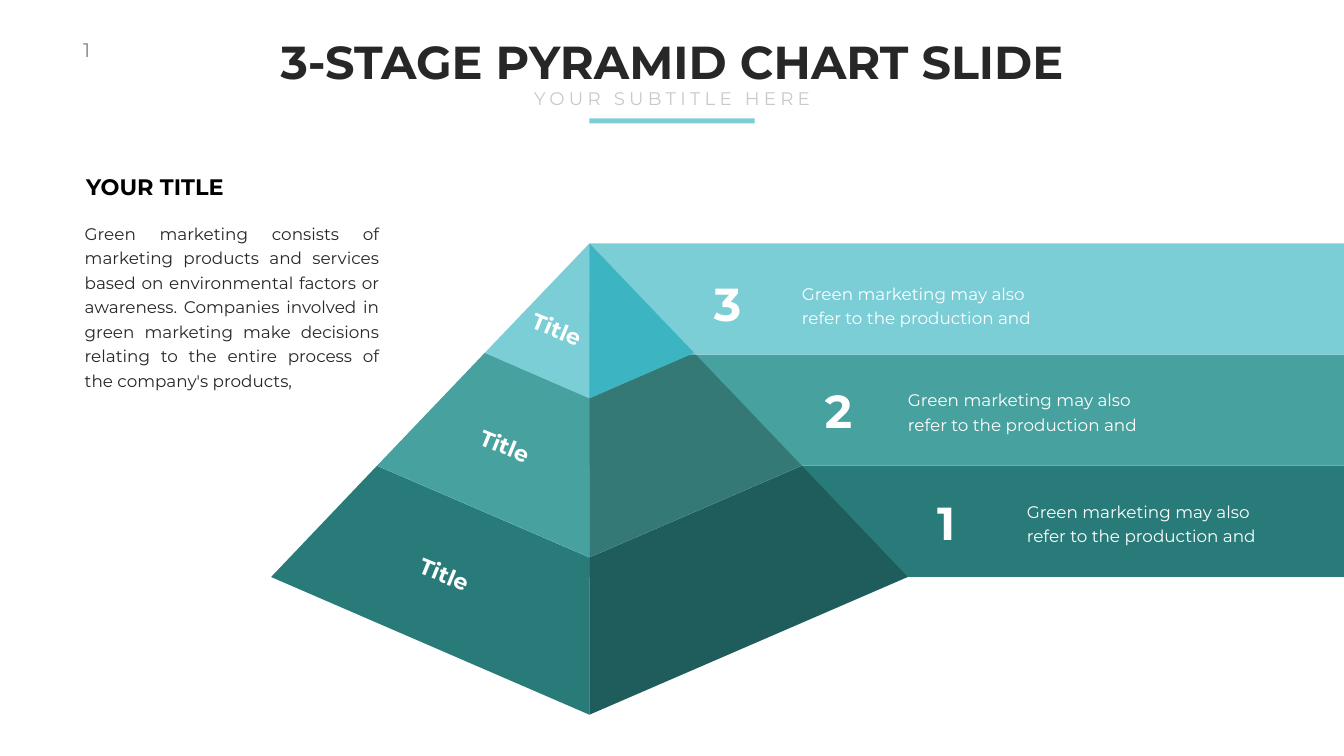
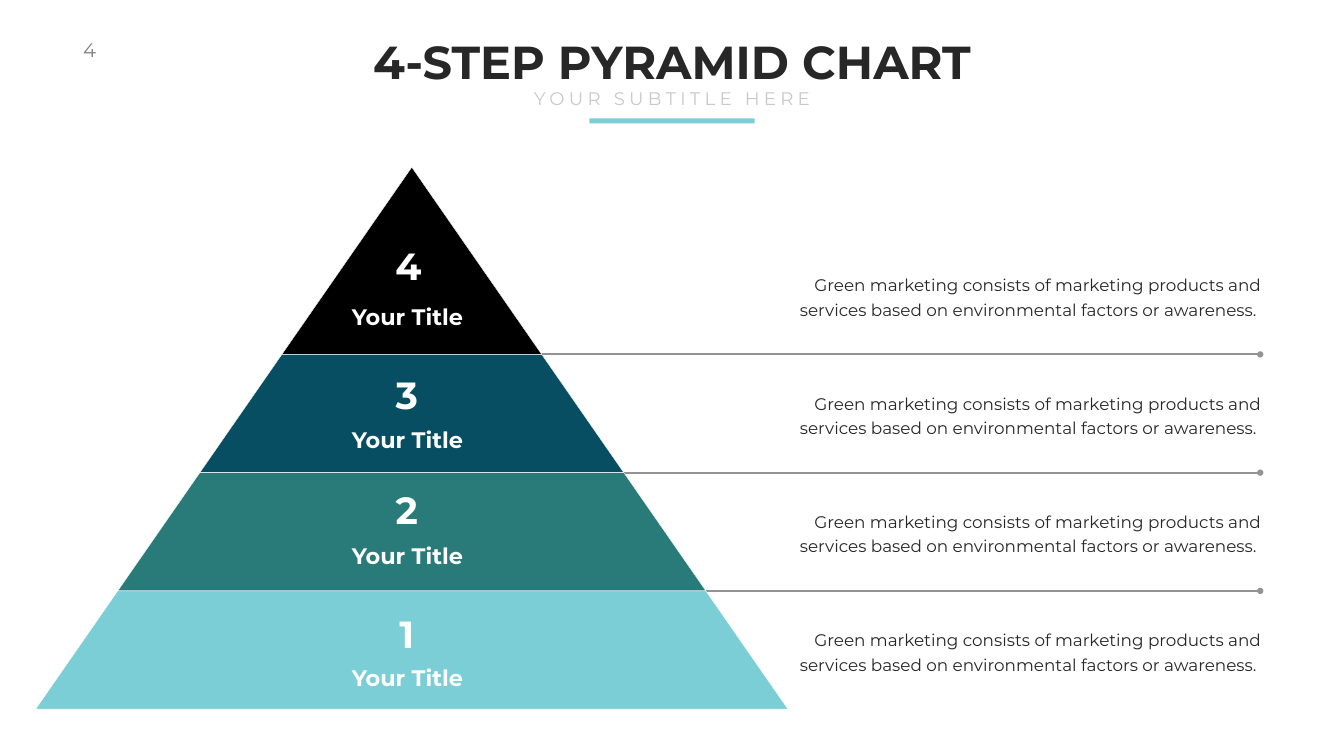
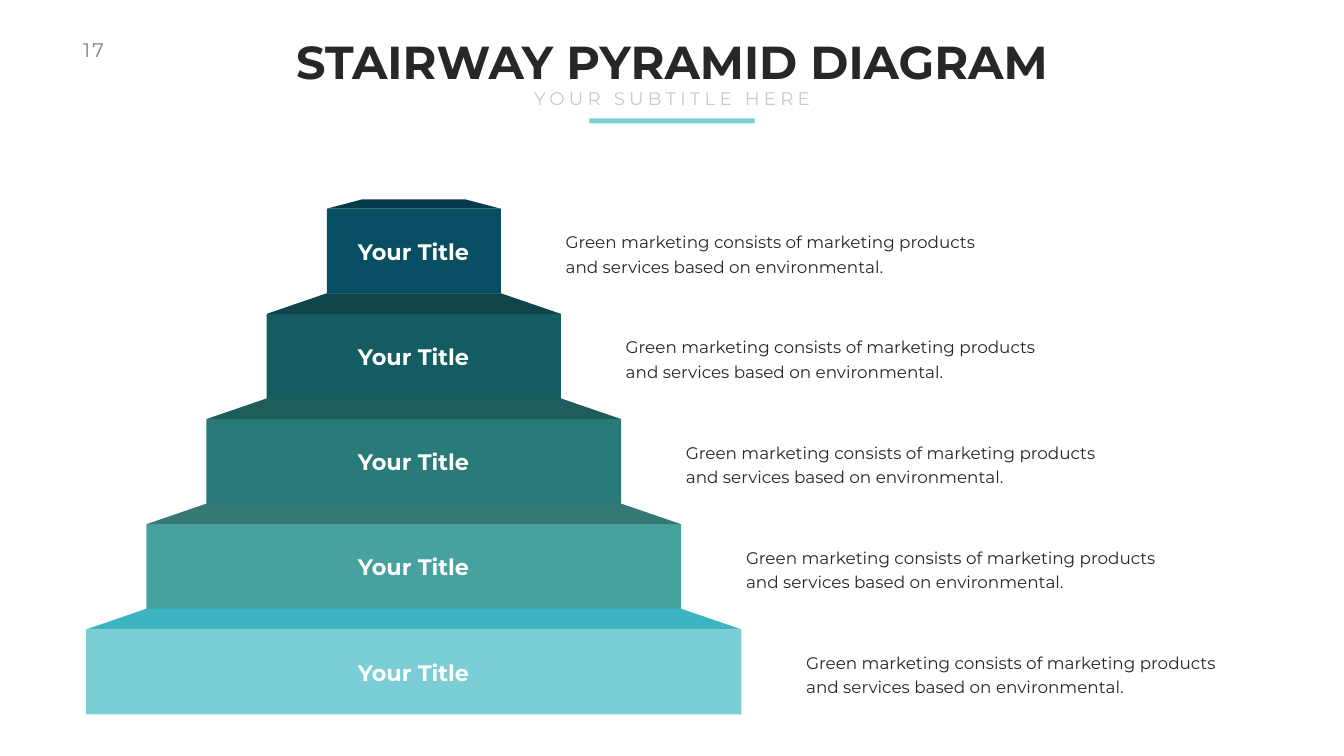
from dataclasses import dataclass, replace
from typing import Optional

import pptx
import pptx.dml.color
import pptx.enum.shapes
import pptx.enum.text
import pptx.oxml
import pptx.oxml.ns
import pptx.util
from pptx.util import Cm

ALIGN = pptx.enum.text.PP_ALIGN
ANCHOR = pptx.enum.text.MSO_ANCHOR
SHAPES = pptx.enum.shapes.MSO_SHAPE
FONT = "Montserrat"
TITLE_ONLY = 5
SLIDE_WIDTH, SLIDE_HEIGHT = 67.72, 38.1

COLORS = {
    "white": "FFFFFF", "black": "000000", "ink": "272727",
    "page": "808080", "subtitle": "C9C9C9", "rule": "939393",
    "aqua": "7BCDD6", "aqua_dark": "3CB4C1", "aqua_lid": "63CBCA",
    "teal": "47A19F", "teal_dark": "357977", "teal_lid": "B0E1E6",
    "pine": "297B7A", "pine_dark": "1F5C5C",
    "deep": "135C62", "deep_dark": "0E454A",
    "navy": "074E63", "navy_dark": "053A4A",
}


# Shared styles; all lengths are centimetres
@dataclass(frozen=True)
class TextStyle:
    size: int
    color: str = "white"
    bold: bool = False
    align: ALIGN = ALIGN.LEFT
    anchor: ANCHOR = ANCHOR.TOP
    wrap: bool = False
    leading: Optional[int] = None
    tracking: int = 0


@dataclass(frozen=True)
class Box:
    left: float
    top: float
    width: float
    height: float
    rotation: float = 0


TITLE = TextStyle(66, "ink", bold=True, align=ALIGN.CENTER)
SUBTITLE = TextStyle(26, "subtitle", align=ALIGN.CENTER, tracking=6)
PAGE = TextStyle(28, "page", tracking=3)
BODY = TextStyle(24, "ink", wrap=True, leading=35)
LABEL = TextStyle(32, bold=True, align=ALIGN.CENTER, anchor=ANCHOR.MIDDLE)
SIDE_LABEL = replace(LABEL, align=ALIGN.LEFT)
NUMBER = replace(LABEL, size=54)
BIG_NUMBER = replace(LABEL, size=66)


def rgb(name: str) -> pptx.dml.color.RGBColor:
    return pptx.dml.color.RGBColor.from_string(COLORS[name])


def place(shape, box: Box) -> None:
    shape.left, shape.top = Cm(box.left), Cm(box.top)
    shape.width, shape.height = Cm(box.width), Cm(box.height)
    shape.rotation = box.rotation


def write(shape, text: str, style: TextStyle) -> None:
    frame = shape.text_frame
    frame.word_wrap = style.wrap
    frame.auto_size = pptx.enum.text.MSO_AUTO_SIZE.SHAPE_TO_FIT_TEXT
    frame.vertical_anchor = style.anchor
    if style.wrap:
        frame.margin_left = frame.margin_right = Cm(0.61)
        frame.margin_top = frame.margin_bottom = Cm(0.3)
    paragraph = frame.paragraphs[0]
    paragraph.alignment = style.align
    if style.leading:
        paragraph.line_spacing = pptx.util.Pt(style.leading)
    run = paragraph.add_run()
    run.text = text
    if style.tracking:
        run._r.get_or_add_rPr().set("spc", str(style.tracking * 100))
    font = paragraph.font
    font.name, font.size, font.bold = FONT, pptx.util.Pt(style.size), style.bold
    font.color.rgb = rgb(style.color)


def add_text(slide, box: Box, text: str, style: TextStyle) -> None:
    shape = slide.shapes.add_textbox(0, 0, 0, 0)
    write(shape, text, style)
    place(shape, box)


def paint(shape, color: str, outline: Optional[str] = None) -> None:
    shape.shadow.inherit = False
    shape.fill.solid()
    shape.fill.fore_color.rgb = rgb(color)
    if outline:
        shape.line.color.rgb = rgb(outline)
        shape.line.width = pptx.util.Pt(0.5)
    else:
        shape.line.fill.background()


def add_rectangle(slide, box: Box, color: str) -> None:
    shape = slide.shapes.add_shape(SHAPES.RECTANGLE, 0, 0, 0, 0)
    place(shape, box)
    paint(shape, color)


def add_polygon(slide, points: list[tuple[float, float]], color: str,
                outline: Optional[str] = None) -> None:
    start, *others = [(Cm(x), Cm(y)) for x, y in points]
    builder = slide.shapes.build_freeform(*start, scale=1.0)
    builder.add_line_segments(others, close=True)
    paint(builder.convert_to_shape(), color, outline)


def add_trapezoid(slide, axis: float, top: float, bottom: float, top_half: float,
                  bottom_half: float, color: str, outline: Optional[str] = None) -> None:
    points = [(axis - bottom_half, bottom), (axis - top_half, top),
              (axis + top_half, top), (axis + bottom_half, bottom)]
    add_polygon(slide, points, color, outline)


def add_dotted_rule(slide, left: float, right: float, y: float) -> None:
    line = slide.shapes.add_connector(
        pptx.enum.shapes.MSO_CONNECTOR.STRAIGHT, Cm(left), Cm(y), Cm(right), Cm(y))
    line.line.color.rgb = rgb("rule")
    line.line.width = pptx.util.Pt(3)
    tail = pptx.oxml.parse_xml(
        f'<a:tailEnd {pptx.oxml.ns.nsdecls("a")} type="oval"/>')
    line.line._get_or_add_ln().append(tail)
    effects = pptx.oxml.parse_xml(f'<a:effectLst {pptx.oxml.ns.nsdecls("a")}/>')
    line._element.spPr.append(effects)


def add_page(presentation, number: int, title: str, title_width: float):
    """Add a slide with its title, subtitle, accent bar and page number."""
    slide = presentation.slides.add_slide(presentation.slide_layouts[TITLE_ONLY])
    write(slide.shapes.title, title, TITLE)
    left = (SLIDE_WIDTH - title_width) / 2
    place(slide.shapes.title, Box(left, 1.55, title_width, 3.07))
    add_text(slide, Box(3.94, 1.8, 2.13, 1.45), str(number), PAGE)
    add_rectangle(slide, Box(29.7, 5.97, 8.33, 0.25), "aqua")
    add_text(slide, Box(26.44, 4.29, 14.86, 1.37), "YOUR SUBTITLE HERE", SUBTITLE)
    return slide


# Slide 1: folded pyramid with bands running to the right edge
@dataclass(frozen=True)
class Edge:
    half: float
    side_y: float
    front_y: float


@dataclass(frozen=True)
class Stage:
    number: int
    light: str
    dark: str
    upper: Edge
    lower: Edge
    band_top: float
    number_center: float
    text_left: float
    text_top: float
    label: Box
    lid_color: str = ""
    lid_back: float = 0


def draw_stage(slide, stage: Stage, axis: float) -> None:
    upper, lower = stage.upper, stage.lower
    if stage.lid_color:
        add_polygon(slide, [(axis - lower.half, lower.side_y), (axis, stage.lid_back),
                            (axis + lower.half, lower.side_y), (axis, lower.front_y)],
                    stage.lid_color)
    add_rectangle(slide, Box(axis, stage.band_top, SLIDE_WIDTH - axis, 5.6), stage.light)
    for side, color in ((-1, stage.light), (1, stage.dark)):
        add_polygon(slide, [(axis + side * lower.half, lower.side_y),
                            (axis, lower.front_y), (axis, upper.front_y),
                            (axis + side * upper.half, upper.side_y)], color)
    add_text(slide, Box(stage.number_center - 0.95, stage.text_top, 1.9, 3.07),
             str(stage.number), BIG_NUMBER)
    add_text(slide, Box(stage.text_left, stage.text_top, 13.82, 3),
             "Green marketing may also refer to the production and",
             replace(BODY, color="white"))
    add_text(slide, stage.label, "Title", SIDE_LABEL)


def build_stage_pyramid(presentation) -> None:
    slide = add_page(presentation, 1, "3-STAGE PYRAMID CHART SLIDE", 40.31)
    tip, first = Edge(0, 12.27, 12.27), Edge(5.27, 17.78, 20.07)
    second, base = Edge(10.7, 23.47, 28.09), Edge(16.04, 29.08, 36.02)
    stages = [
        Stage(1, "pine", "pine_dark", second, base, 23.47, 47.68, 51.13, 24.76,
              Box(20.85, 28.12, 3.12, 1.63, 22.2)),
        Stage(2, "teal", "teal_dark", first, second, 17.87, 42.25, 45.14, 19.14,
              Box(23.9, 21.64, 3.12, 1.63, 22.2), "teal_lid", 19.25),
        Stage(3, "aqua", "aqua_dark", tip, first, 12.27, 36.66, 39.8, 13.76,
              Box(26.52, 15.77, 3.12, 1.63, 22.2), "aqua_lid", 15.7),
    ]
    for stage in stages:
        draw_stage(slide, stage, 29.7)

    add_text(slide, Box(4.09, 8.59, 7.54, 1.63), "YOUR TITLE",
             replace(SIDE_LABEL, color="black"))
    add_text(slide, Box(3.66, 10.74, 16.05, 9.25),
             "Green marketing consists of marketing products and services based on "
             "environmental factors or awareness. Companies involved in "
             "green marketing make decisions relating to the entire process of "
             "the company's products, ",
             replace(BODY, align=ALIGN.JUSTIFY))


# Slide 2: flat pyramid with a rule under each description
@dataclass(frozen=True)
class Tier:
    number: int
    color: str
    number_top: float
    label_top: float


TIERS = [
    Tier(4, "black", 12.07, 15.16),
    Tier(3, "navy", 18.57, 21.36),
    Tier(2, "pine", 24.41, 27.18),
    Tier(1, "aqua", 30.63, 33.32),
]


def build_step_pyramid(presentation) -> None:
    slide = add_page(presentation, 4, "4-STEP PYRAMID CHART", 31.01)
    axis, apex, slope = 20.75, 8.43, 0.69393
    top = apex
    for index, tier in enumerate(TIERS):
        bottom = 17.86 + 5.96 * index
        bottom_half = slope * (bottom - apex)
        add_trapezoid(slide, axis, top, bottom, slope * (top - apex), bottom_half,
                      tier.color, "white")
        add_text(slide, Box(19.67, tier.number_top, 1.65, 2.57), str(tier.number), NUMBER)
        add_text(slide, Box(17.42, tier.label_top, 6.22, 1.63), "Your Title", LABEL)
        if tier is not TIERS[-1]:
            add_dotted_rule(slide, axis + bottom_half, 63.5, bottom)
        add_text(slide, Box(39.27, bottom - 4.48, 24.87, 3),
                 "Green marketing consists of marketing products and services based on "
                 "environmental factors or awareness. ",
                 replace(BODY, align=ALIGN.RIGHT, anchor=ANCHOR.MIDDLE))
        top = bottom


# Slide 3: stairway, each step a front and the tread above it
STEPS = [("navy", "navy_dark"), ("deep", "deep_dark"), ("pine", "pine_dark"),
         ("teal", "teal_dark"), ("aqua", "aqua_dark")]


def build_stairway(presentation) -> None:
    slide = add_page(presentation, 17, "STAIRWAY PYRAMID DIAGRAM", 39.09)
    axis, back_width, tread_height = 20.85, 5.21, 0.47
    for index, (front, tread) in enumerate(STEPS):
        top = 10.52 + 5.3 * index
        width = 8.77 + 6.06 * index
        add_rectangle(slide, Box(axis - width / 2, top, width, 4.28), front)
        add_trapezoid(slide, axis, top - tread_height, top, back_width / 2, width / 2, tread)
        add_text(slide, Box(17.73, top + 1.34, 6.22, 1.63), "Your Title", LABEL)
        add_text(slide, Box(27.89 + 3.03 * index, top + 0.65, 23.52, 3),
                 "Green marketing consists of marketing products and services based on "
                 "environmental.", BODY)
        back_width, tread_height = width, 1.04


def main() -> None:
    presentation = pptx.Presentation()
    presentation.slide_width, presentation.slide_height = Cm(SLIDE_WIDTH), Cm(SLIDE_HEIGHT)
    build_stage_pyramid(presentation)
    build_step_pyramid(presentation)
    build_stairway(presentation)
    presentation.save("out.pptx")


if __name__ == "__main__":
    main()
